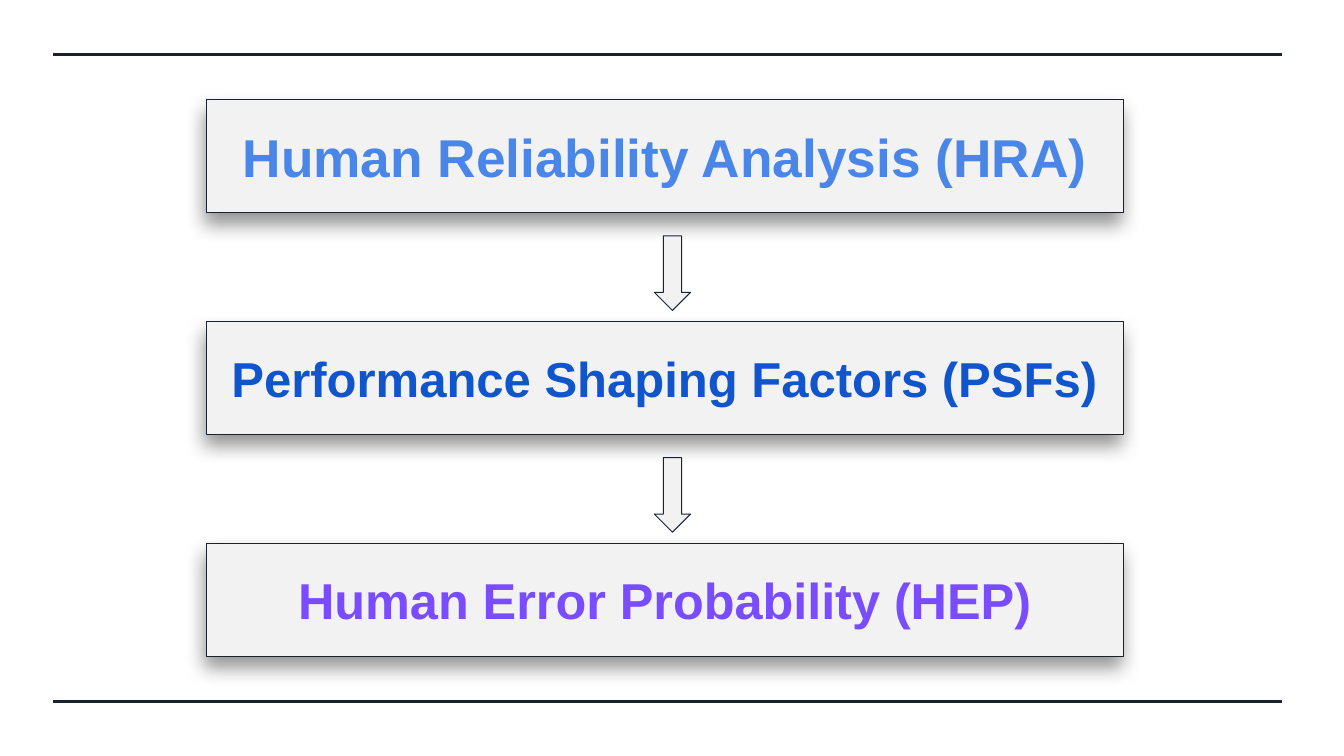
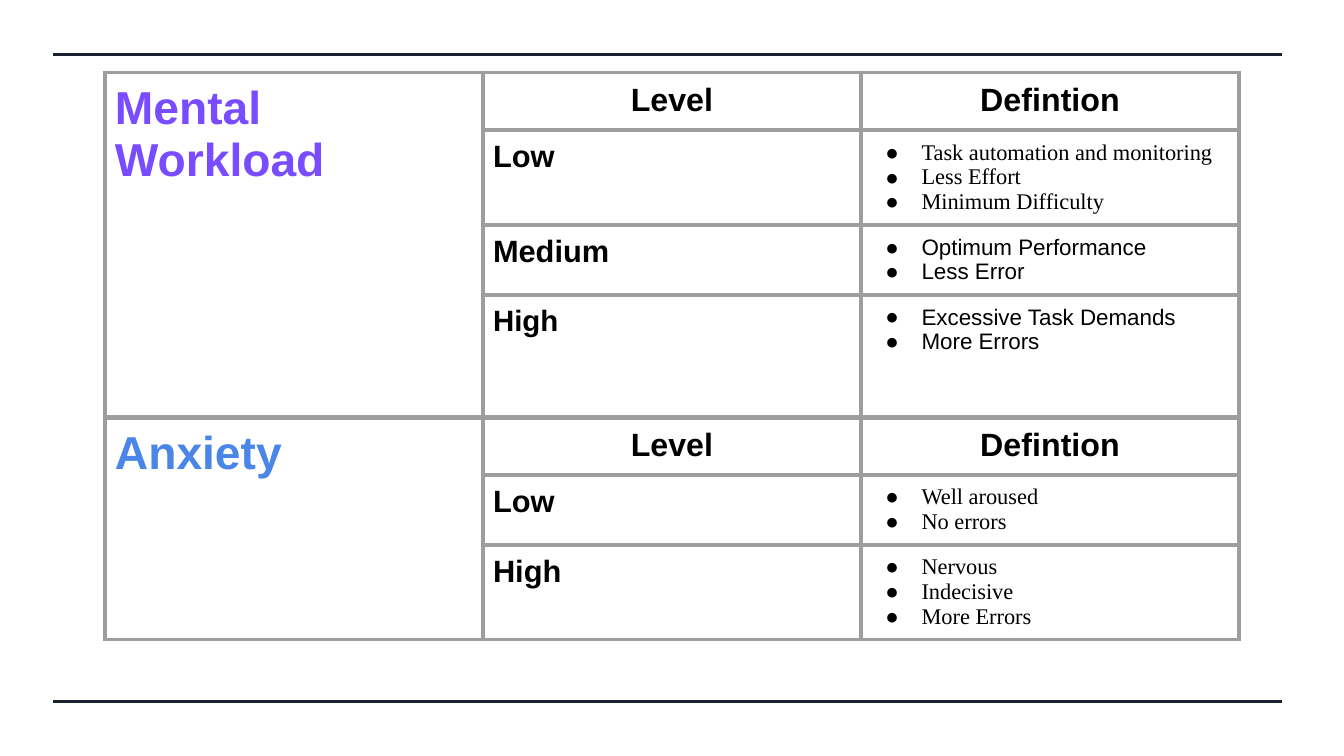
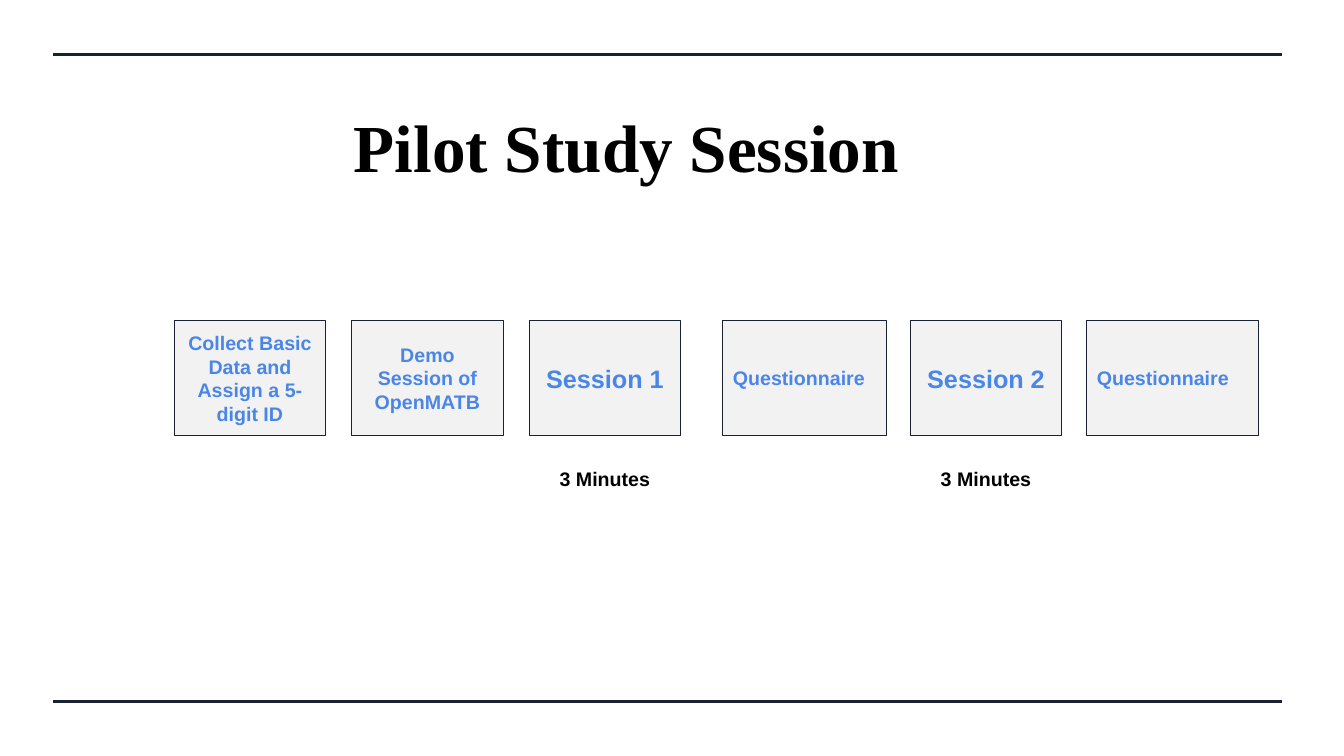
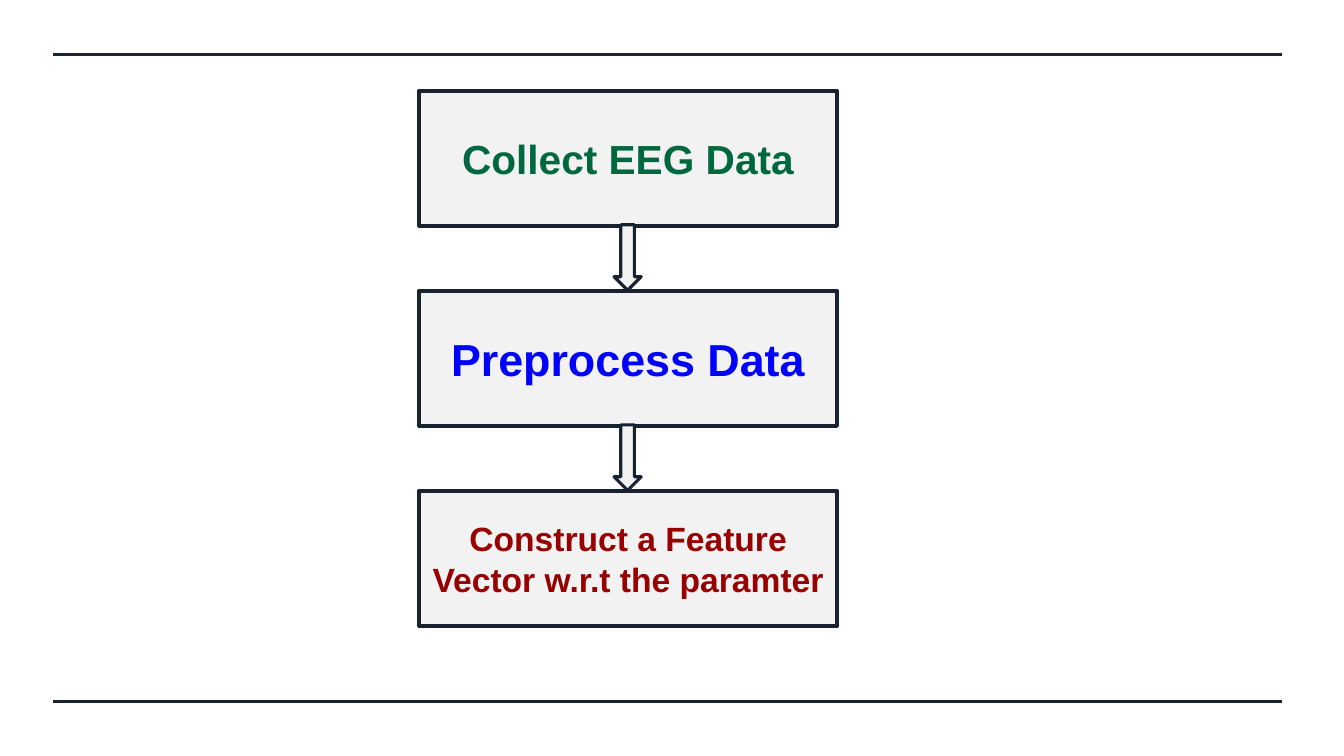
"""Build four slides on human reliability and an EEG pilot study."""
from lxml import etree
from pptx import Presentation
from pptx.dml.color import RGBColor
from pptx.enum.shapes import MSO_CONNECTOR, MSO_SHAPE
from pptx.enum.text import MSO_ANCHOR, PP_ALIGN
from pptx.oxml.ns import qn
from pptx.util import Inches, Pt

LEFT, CENTER = PP_ALIGN.LEFT, PP_ALIGN.CENTER
TOP, MIDDLE = MSO_ANCHOR.TOP, MSO_ANCHOR.MIDDLE
RECTANGLE, PROCESS = MSO_SHAPE.RECTANGLE, MSO_SHAPE.FLOWCHART_PROCESS
DOWN_ARROW, STRAIGHT = MSO_SHAPE.DOWN_ARROW, MSO_CONNECTOR.STRAIGHT
TITLE_ONLY, BLANK = 5, 6

INK, PANEL, BLACK, GRID = "182230", "F2F2F2", "000000", "9E9E9E"
SKY, BLUE, VIOLET = "4A86E8", "1155CC", "794DFF"
SANS, SERIF = "Arial", "Times New Roman"

RULES = {"left": 0.53, "right": 12.72, "tops": (0.54, 6.96), "weight": 2.25}

ANALYSIS_STEPS = [
    ("Human Reliability Analysis (HRA)", 38, SKY),
    ("Performance Shaping Factors (PSFs)", 35, BLUE),
    ("Human Error Probability (HEP)", 36, VIOLET),
]
ANALYSIS_FLOW = {
    "kind": RECTANGLE, "box": (2.05, 0.99, 9.09, 1.12), "pitch": 2.2,
    "arrow": (6.49, 2.34, 0.36, 0.74), "weight": 0.75, "arrow_weight": 0.75,
    "shadow": True,
}

EEG_STEPS = [
    ("Collect EEG Data", 29, "00683E"),
    ("Preprocess Data", 32, "0000FF"),
    ("Construct a Feature Vector w.r.t the paramter", 24, "980000"),
]
EEG_FLOW = {
    "kind": PROCESS, "box": (4.16, 0.9, 4.14, 1.34), "pitch": 1.985,
    "arrow": (6.09, 2.23, 0.27, 0.65), "weight": 3, "arrow_weight": 2.25,
    "shadow": False,
}

HEADINGS = ("Level", "Defintion")
HEADING_HEIGHT = 0.57
TABLE_LEFT, COLUMN_WIDTH = 1.04, 3.75
FACTORS = [
    ("Mental Workload", VIOLET, 0.72, [
        ("Low", 22, 0.94, SERIF,
         ["Task automation and monitoring", "Less Effort", "Minimum Difficulty"]),
        ("Medium", 22, 0.69, SANS, ["Optimum Performance", "Less Error"]),
        ("High", 21, 1.22, SANS, ["Excessive Task Demands", "More Errors"]),
    ]),
    ("Anxiety", SKY, 4.14, [
        ("Low", 22, 0.69, SERIF, ["Well aroused", "No errors"]),
        ("High", 22, 0.94, SERIF, ["Nervous", "Indecisive", "More Errors"]),
    ]),
]

STAGE_TOP, STAGE_HEIGHT = 3.18, 1.14
DURATION_TOP, DURATION_HEIGHT = 4.53, 0.44
STAGES = [
    ("Collect Basic Data and Assign a 5-digit ID", 1.73, 1.5, 14, CENTER, None),
    ("Demo Session of OpenMATB", 3.49, 1.5, 14, CENTER, None),
    ("Session 1", 5.25, 1.5, 18, CENTER, "3 Minutes"),
    ("Questionnaire", 7.17, 1.62, 14, LEFT, None),
    ("Session 2", 9.03, 1.5, 18, CENTER, "3 Minutes"),
    ("Questionnaire", 10.78, 1.7, 14, LEFT, None),
]


def rgb(value):
    """Turn a hex string into a colour."""
    return RGBColor.from_string(value)


def inches(values):
    """Turn numbers into lengths."""
    return [Inches(value) for value in values]


def add_xml(parent, tag, **attributes):
    """Append a DrawingML element."""
    return etree.SubElement(parent, qn(tag), attributes)


def write(frame, lines, size, colour, font=SANS, bold=True, align=LEFT):
    """Fill a text frame with one formatted paragraph per line."""
    look = {"size": Pt(size), "name": font, "bold": bold}
    for number, line in enumerate(lines):
        paragraph = frame.add_paragraph() if number else frame.paragraphs[0]
        paragraph.alignment = align
        run = paragraph.add_run()
        run.text = line
        for key, value in look.items():
            setattr(run.font, key, value)
        run.font.color.rgb = rgb(colour)


def set_frame(holder, anchor):
    """Give a cell or a text frame the common margins and an anchor."""
    for side in ("left", "top", "right", "bottom"):
        setattr(holder, "margin_" + side, Inches(0.1))
    holder.vertical_anchor = anchor
    holder.word_wrap = True


def add_panel(slide, kind, place, weight):
    """Add a grey outlined shape."""
    panel = slide.shapes.add_shape(kind, *inches(place))
    panel.shadow.inherit = False
    panel.fill.solid()
    panel.fill.fore_color.rgb = rgb(PANEL)
    panel.line.color.rgb = rgb(INK)
    panel.line.width = Pt(weight)
    set_frame(panel.text_frame, MIDDLE)
    return panel


def add_shadow(panel):
    """Cast a soft shadow below a panel."""
    effects = panel.element.spPr.find(qn("a:effectLst"))
    shadow = add_xml(effects, "a:outerShdw", blurRad=str(Pt(13.5)),
                     dist=str(Pt(7.5)), dir=str(108 * 60000),
                     algn="bl", rotWithShape="0")
    colour = add_xml(shadow, "a:srgbClr", val=BLACK)
    add_xml(colour, "a:alpha", val="42000")


def add_rules(slide, master):
    """Draw the two page rules and move them to the master."""
    for top in RULES["tops"]:
        rule = slide.shapes.add_connector(
            STRAIGHT, *inches((RULES["left"], top, RULES["right"], top)))
        rule.line.color.rgb = rgb(INK)
        rule.line.width = Pt(RULES["weight"])
        add_xml(rule.element.spPr, "a:effectLst")
        master.shapes.element.append(rule.element)


def add_flow(slide, steps, flow):
    """Stack boxes with a block arrow between each pair."""
    left, top, width, height = flow["box"]
    arrow_left, arrow_top, arrow_width, arrow_height = flow["arrow"]
    for number, (text, size, colour) in enumerate(steps):
        shift = number * flow["pitch"]
        box = add_panel(slide, flow["kind"], (left, top + shift, width, height),
                        flow["weight"])
        write(box.text_frame, [text], size, colour, align=CENTER)
        if flow["shadow"]:
            add_shadow(box)
    for number in range(len(steps) - 1):
        shift = number * flow["pitch"]
        add_panel(slide, DOWN_ARROW,
                  (arrow_left, arrow_top + shift, arrow_width, arrow_height),
                  flow["arrow_weight"])


def add_borders(cell):
    """Draw a grey line on each side of a cell."""
    properties = cell._tc.get_or_add_tcPr()
    for position, side in enumerate("LRTB"):
        border = etree.Element(qn("a:ln" + side), w=str(Pt(3)))
        fill = add_xml(border, "a:solidFill")
        add_xml(fill, "a:srgbClr", val=GRID)
        properties.insert(position, border)


def add_bullets(frame):
    """Put a round bullet before each paragraph."""
    for paragraph in frame.paragraphs:
        properties = paragraph._p.get_or_add_pPr()
        properties.set("marL", str(Inches(0.5)))
        properties.set("indent", str(Inches(-0.36)))
        colour = add_xml(properties, "a:buClr")
        add_xml(colour, "a:srgbClr", val=BLACK)
        add_xml(properties, "a:buFont", typeface=SANS)
        add_xml(properties, "a:buChar", char="●")


def add_factor(slide, factor, colour, top, levels):
    """Add the table of levels for one factor."""
    heights = [HEADING_HEIGHT] + [level[2] for level in levels]
    place = (TABLE_LEFT, top, 3 * COLUMN_WIDTH, sum(heights))
    table = slide.shapes.add_table(len(heights), 3, *inches(place)).table
    table.first_row = table.horz_banding = False
    for column in table.columns:
        column.width = Inches(COLUMN_WIDTH)
    for row, height in zip(table.rows, heights):
        row.height = Inches(height)
    for cell in table.iter_cells():
        set_frame(cell, TOP)
        cell.fill.background()
        add_borders(cell)
    table.cell(0, 0).merge(table.cell(len(levels), 0))
    write(table.cell(0, 0).text_frame, [factor], 33, colour)
    for column, heading in enumerate(HEADINGS, 1):
        write(table.cell(0, column).text_frame, [heading], 23, BLACK, align=CENTER)
    for row, (level, size, _, font, definitions) in enumerate(levels, 1):
        write(table.cell(row, 1).text_frame, [level], size, BLACK)
        frame = table.cell(row, 2).text_frame
        write(frame, definitions, 16, BLACK, font, bold=False)
        add_bullets(frame)


def add_title(slide, text, place):
    """Place and format the slide title."""
    title = slide.shapes.title
    title.left, title.top, title.width, title.height = inches(place)
    set_frame(title.text_frame, TOP)
    write(title.text_frame, [text], 48, BLACK, SERIF)


def add_stages(slide):
    """Lay out the session stages with their durations."""
    for text, left, width, size, align, duration in STAGES:
        stage = add_panel(slide, PROCESS, (left, STAGE_TOP, width, STAGE_HEIGHT), 0.75)
        write(stage.text_frame, [text], size, SKY, align=align)
        if duration:
            label = slide.shapes.add_textbox(
                *inches((left, DURATION_TOP, width, DURATION_HEIGHT)))
            set_frame(label.text_frame, TOP)
            write(label.text_frame, [duration], 14, BLACK, align=CENTER)


def main():
    """Build and save the presentation."""
    deck = Presentation()
    deck.slide_width, deck.slide_height = inches((13.33, 7.5))
    analysis, factors, pilot, eeg = [
        deck.slides.add_slide(deck.slide_layouts[layout])
        for layout in (BLANK, BLANK, TITLE_ONLY, BLANK)]
    add_rules(analysis, deck.slide_master)
    add_flow(analysis, ANALYSIS_STEPS, ANALYSIS_FLOW)
    for factor in FACTORS:
        add_factor(factors, *factor)
    add_title(pilot, "Pilot Study Session", (3.41, 0.94, 5.62, 1.01))
    add_stages(pilot)
    add_flow(eeg, EEG_STEPS, EEG_FLOW)
    deck.save("out.pptx")


if __name__ == "__main__":
    main()
